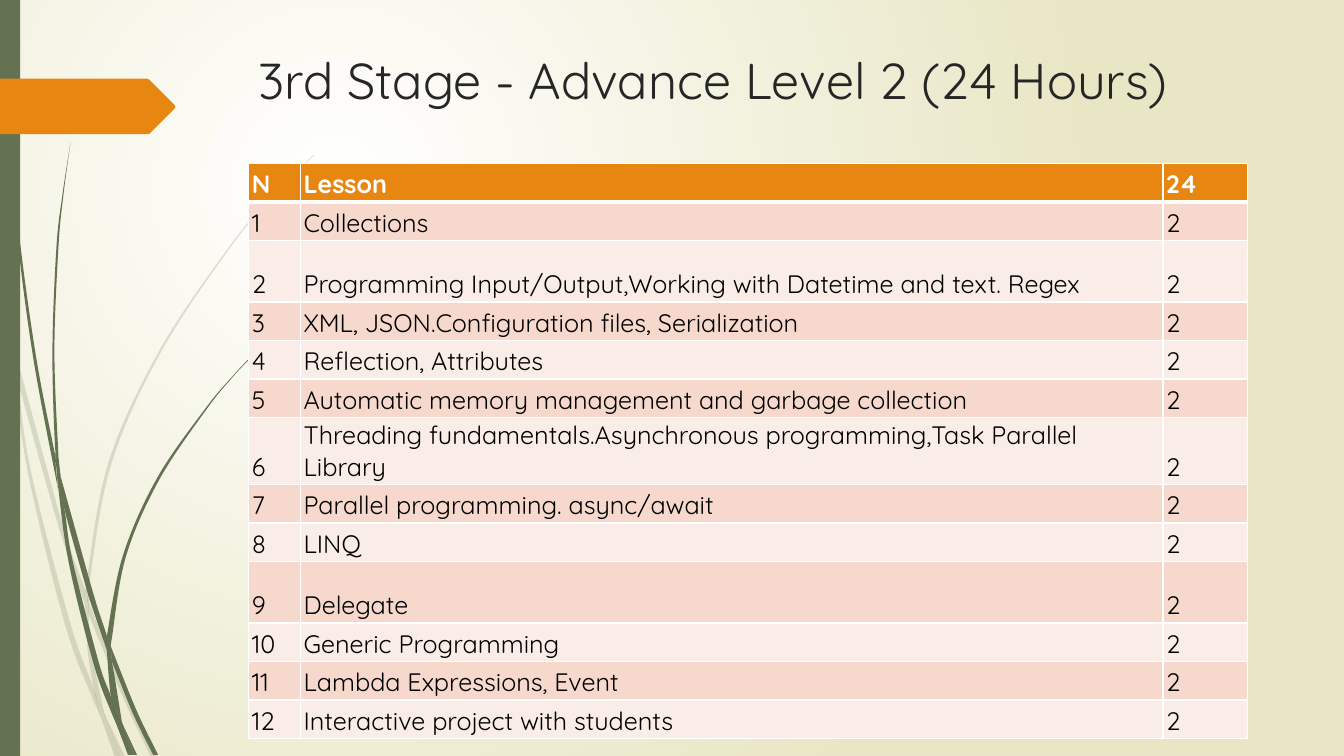
from lxml.etree import SubElement
from pptx import Presentation
from pptx.dml.color import RGBColor
from pptx.enum.text import MSO_ANCHOR as Anchor
from pptx.enum.shapes import MSO_SHAPE as Preset
from pptx.oxml.ns import qn
from pptx.util import Cm, Pt

COLORS = {
    "glow": "FFFFFF", "sand": "E8E6C4", "grass": "647252", "orange": "E78712",
    "title": "262626", "text": "000000", "white": "FFFFFF",
    "band_dark": "F6D9CC", "band_light": "FAEDE7",
}
FONT = "Quicksand"
GRID = 0.0254

LESSONS = [
    "Collections",
    "Programming Input/Output,Working with Datetime and text. Regex",
    "XML, JSON.Configuration files, Serialization",
    "Reflection, Attributes",
    "Automatic memory management and garbage collection",
    "Threading fundamentals.Asynchronous programming,Task Parallel Library",
    "Parallel programming. async/await",
    "LINQ",
    "Delegate",
    "Generic Programming",
    "Lambda Expressions, Event",
    "Interactive project with students",
]
COLUMN_WIDTHS = [1.3, 21.74, 2.13]
ROW_HEIGHT = 0.97
TALL_ROWS = {2: 1.55, 6: 1.69, 9: 1.55}

FAINT_BLADES = [
    ([(11, 350), (9, 322), (0, 282)], [(0, 299), (10, 344), (11, 350)]),
    ([(14, 345), (62, 520), (85, 586)], [(84, 599), (58, 522), (17, 376)]),
    ([(88, 596), (92, 607), (127, 692), (155, 751)], [(150, 751), (123, 694), (88, 610)]),
    ([(105, 711), (124, 751)], [(119, 751), (105, 711)]),
    ([(11, 350), (17, 376), (31, 469), (70, 619), (93, 683), (99, 707), (101, 714)],
     [(92, 693), (65, 621), (28, 470), (11, 350)]),
    ([(84, 599), (88, 608), (88, 610), (91, 646), (103, 706), (105, 711)],
     [(96, 692), (93, 683), (87, 646), (84, 599)]),
    ([(312, 153), (289, 175), (268, 197), (228, 244), (158, 348), (107, 461), (85, 584), (85, 586)],
     [(88, 596), (88, 584), (110, 462), (160, 349), (229, 245), (268, 198), (290, 175), (312, 154)]),
    ([(101, 714), (119, 751)], [(114, 751), (101, 714)]),
    ([(85, 586), (88, 596), (88, 610)], [(88, 608), (84, 599)]),
    ([(93, 683), (96, 692), (105, 711), (119, 751)], [(101, 714), (99, 707), (93, 683)]),
]
STRONG_BLADES = [
    ([(3, 0), (4, 48), (7, 110), (17, 233), (33, 355), (56, 477), (57, 481)],
     [(55, 457), (55, 453), (36, 355), (19, 232), (8, 109), (5, 48), (4, 0)]),
    ([(60, 472), (93, 590), (106, 631), (106, 645)], [(88, 592), (64, 505), (60, 472)]),
    ([(110, 641), (113, 649), (136, 706), (157, 749)], [(152, 749), (132, 708), (111, 656)]),
    ([(57, 477), (64, 505), (72, 556), (98, 657), (110, 691), (116, 717), (117, 722)],
     [(111, 708), (93, 659), (68, 557), (57, 477)]),
    ([(70, 141), (62, 193), (56, 245), (52, 349), (55, 449), (60, 472)],
     [(58, 453), (54, 349), (58, 245), (63, 193), (70, 141)]),
    ([(122, 719), (136, 749)], [(133, 749), (122, 719)]),
    ([(55, 449), (60, 472), (64, 505)], [(57, 477), (55, 453)]),
    ([(260, 344), (245, 358), (231, 373), (204, 405), (156, 474), (122, 551), (106, 631)],
     [(110, 641), (111, 633), (125, 552), (158, 476), (205, 406), (231, 374), (245, 359), (261, 344)]),
    ([(117, 722), (131, 749)], [(127, 749), (117, 722)]),
    ([(106, 645), (111, 656), (121, 716), (122, 719)], [(116, 706), (110, 691), (106, 645)]),
    ([(106, 631), (110, 641), (111, 656)], [(109, 651), (106, 645)]),
    ([(110, 691), (116, 706), (122, 719), (133, 749)], [(130, 749), (117, 722), (110, 691)]),
]
ARROW = [(0, 78), (146, 78), (148, 79), (173, 104), (174, 106),
         (173, 108), (148, 133), (146, 133), (0, 133)]


def color(name):
    return RGBColor.from_string(COLORS[name])


def paint(shape, name, alpha=None):
    shape.shadow.inherit = False
    shape.fill.solid()
    shape.fill.fore_color.rgb = color(name)
    shape.line.fill.background()
    if alpha:
        tint = shape._element.spPr.find(".//" + qn("a:srgbClr"))
        SubElement(tint, qn("a:alpha"), val=str(alpha * 1000))


def tangents(edge):
    padded = [edge[0], *edge, edge[-1]]
    return [((c - a) / 6, (d - b) / 6) for (a, b), (c, d) in zip(padded, padded[2:])]


def bend(shape, corner):
    nodes = list(shape._element.spPr.iter(qn("a:pt")))
    points = [(int(node.get("x")), int(node.get("y"))) for node in nodes]
    pulls = tangents(points[:corner]) + tangents(points[corner:])
    for index in range(1, len(points)):
        if index == corner:
            continue
        (x1, y1), (x2, y2) = points[index - 1:index + 1]
        (u1, v1), (u2, v2) = pulls[index - 1:index + 1]
        segment = nodes[index].getparent()
        curve = segment.makeelement(qn("a:cubicBezTo"))
        segment.getparent().replace(segment, curve)
        for x, y in ((x1 + u1, y1 + v1), (x2 - u2, y2 - v2), (x2, y2)):
            SubElement(curve, qn("a:pt"), x=str(round(x)), y=str(round(y)))


def add_outline(shapes, points, name, alpha=None):
    (x, y), *rest = [(Cm(x * GRID), Cm(y * GRID)) for x, y in points]
    builder = shapes.build_freeform(x, y)
    builder.add_line_segments(rest, close=True)
    shape = builder.convert_to_shape()
    paint(shape, name, alpha)
    return shape


def add_blades(page, blades, alpha=None):
    group = page.shapes.add_group_shape()
    for left, right in blades:
        bend(add_outline(group.shapes, left + right, "grass", alpha), len(left))


def set_background(page):
    fill = page.background.fill
    fill.gradient()
    for stop, name in zip(fill.gradient_stops, ("glow", "sand")):
        stop.color.rgb = color(name)
    gradient = page.element.find(".//" + qn("a:gradFill"))
    gradient.remove(gradient.find(qn("a:lin")))
    circle = SubElement(gradient, qn("a:path"), path="circle")
    SubElement(circle, qn("a:fillToRect"), l="50000", t="50000", r="100000", b="100000")


def style_font(para, size, name, bold=False):
    font = para.font
    font.name, font.size, font.bold = FONT, Pt(size), bold
    font.color.rgb = color(name)


def add_title(page, text):
    box = page.shapes.add_textbox(Cm(6.27), Cm(1.12), Cm(24.77), Cm(3.56))
    box.text_frame.word_wrap = True
    para = box.text_frame.paragraphs[0]
    para.text = text
    style_font(para, 36, "title")


def set_borders(cell, bottom):
    props = cell._tc.get_or_add_tcPr()
    widths = {"a:lnL": 1, "a:lnR": 1, "a:lnT": 1, "a:lnB": bottom}
    for index, (tag, width) in enumerate(widths.items()):
        line = SubElement(props, qn(tag), w=str(Pt(width)))
        SubElement(SubElement(line, qn("a:solidFill")), qn("a:srgbClr"), val=COLORS["white"])
        props.insert(index, line)


def fill_cell(cell, text, fill, ink, header):
    cell.text = text
    cell.vertical_anchor = Anchor.BOTTOM
    cell.margin_left = cell.margin_right = Cm(0.08)
    cell.margin_top = cell.margin_bottom = Cm(0.05)
    cell.fill.solid()
    cell.fill.fore_color.rgb = color(fill)
    style_font(cell.text_frame.paragraphs[0], 18, ink, header)
    set_borders(cell, 3 if header else 1)


def add_lesson_table(page):
    rows = [("N", "Lesson", "24")]
    rows += [(str(number), lesson, "2") for number, lesson in enumerate(LESSONS, 1)]
    heights = [TALL_ROWS.get(index, ROW_HEIGHT) for index in range(len(rows))]
    table = page.shapes.add_table(len(rows), len(COLUMN_WIDTHS), Cm(6.27), Cm(4.12),
                                  Cm(sum(COLUMN_WIDTHS)), Cm(sum(heights))).table
    for column, width in zip(table.columns, COLUMN_WIDTHS):
        column.width = Cm(width)
    for index, values in enumerate(rows):
        table.rows[index].height = Cm(heights[index])
        header = index == 0
        fill = "orange" if header else "band_dark" if index % 2 else "band_light"
        for cell, text in zip(table.rows[index].cells, values):
            fill_cell(cell, text, fill, "white" if header else "text", header)


def main():
    deck = Presentation()
    deck.slide_width, deck.slide_height = Cm(33.87), Cm(19.05)
    page = deck.slides.add_slide(deck.slide_layouts[6])
    set_background(page)
    add_blades(page, FAINT_BLADES, alpha=20)
    add_blades(page, STRONG_BLADES)
    paint(page.shapes.add_shape(Preset.RECTANGLE, 0, 0, Cm(0.51), deck.slide_height), "grass")
    add_outline(page.shapes, ARROW, "orange")
    add_title(page, "3rd Stage - Advance Level 2 (24 Hours)")
    add_lesson_table(page)
    deck.save("out.pptx")


main()
